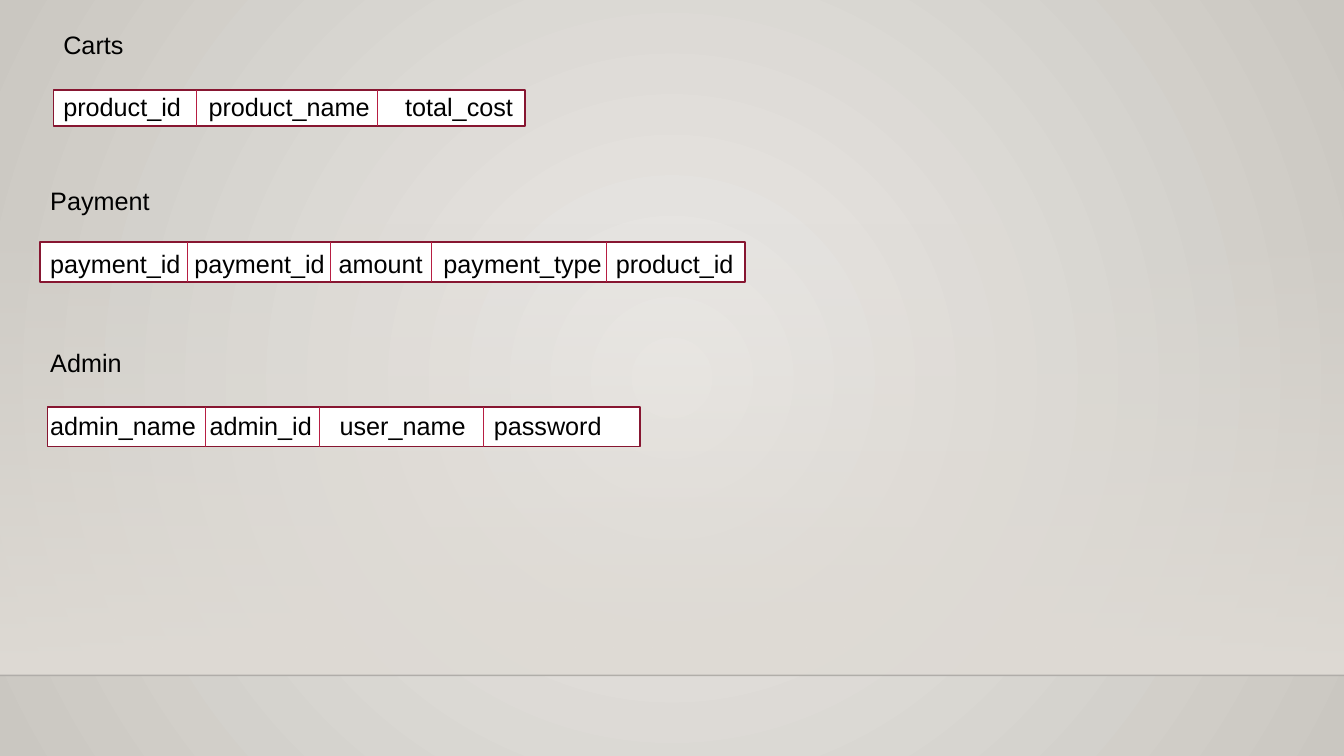
from lxml import etree
from pptx import Presentation, util as u
from pptx.dml.color import RGBColor
from pptx.enum import shapes
from pptx.oxml import ns

WIDTH, HEIGHT = 13.33, 7.5
FLOOR = 6.7  # height of the line across the bottom of the backdrop

# Each schema: name, text box, row box, tab stops, divider positions, field names.
# Boxes are left, top, width, height; stops are measured from the text's left edge.
SCHEMAS = [
    ("Carts", (0.53, 0.24, 6.67, 1.01), (0.53, 0.89, 4.68, 0.36),
     [1.44, 3.39], [1.95, 3.74],
     ["product_id", "product_name", "total_cost"]),
    ("Payment", (0.4, 1.79, 7.16, 1.01), (0.4, 2.4, 6.99, 0.4),
     [1.43, 2.86, 3.9, 5.61], [1.86, 3.28, 4.28, 6.02],
     ["payment_id", "payment_id", "amount", "payment_type", "product_id"]),
    ("Admin", (0.4, 3.4, 11.24, 1.01), (0.47, 4.04, 5.88, 0.39),
     [1.58, 2.87, 4.4], [2.04, 3.17, 4.8],
     ["admin_name", "admin_id", "user_name", "password"]),
]


def color(value):
    return RGBColor.from_string(value)


def inches(*lengths):
    return [u.Inches(length) for length in lengths]


def add_child(parent, tag, **attributes):
    return etree.SubElement(parent, ns.qn(tag), attributes)


def set_gradient(fill, start, end):
    fill.gradient()
    for stop, value in zip(fill.gradient_stops, (start, end)):
        stop.color.rgb = color(value)


def set_alpha(color_element, percent):
    add_child(color_element, "a:alpha", val=str(percent * 1000))


def add_line(slide, start, end, line_color, width):
    line = slide.shapes.add_connector(
        shapes.MSO_CONNECTOR.STRAIGHT, *inches(*start, *end))
    line.line.color.rgb = color(line_color)
    line.line.width = u.Pt(width)
    add_child(line.element.spPr, "a:effectLst")
    return line


def add_rectangle(slide, box):
    rectangle = slide.shapes.add_shape(shapes.MSO_SHAPE.RECTANGLE, *inches(*box))
    rectangle.shadow.inherit = False
    return rectangle


def add_backdrop(slide):
    # Radial background
    set_gradient(slide.background.fill, "ECEAE7", "CAC7C1")
    gradient = slide.element.xpath(".//p:bg//a:gradFill")[0]
    gradient.remove(gradient.find(ns.qn("a:lin")))
    radial = add_child(gradient, "a:path", path="circle")
    add_child(radial, "a:fillToRect", l="50000", t="50000", r="50000", b="50000")

    # Wall fading in towards the floor line
    top = 2.21
    wall = add_rectangle(slide, (0, top, WIDTH, FLOOR - top))
    set_gradient(wall.fill, "DFDBD5", "DFDBD5")
    wall.fill.gradient_angle = 270
    wall.line.fill.background()
    set_alpha(wall.element.xpath(".//a:gs/a:srgbClr")[0], 0)

    # Floor line
    floor = add_line(slide, (0, FLOOR), (WIDTH, FLOOR), "000001", 1)
    set_alpha(floor.element.xpath(".//a:ln//a:srgbClr")[0], 20)


def add_schema(slide, name, text_box, row_box, stops, dividers, fields):
    # Row outline
    row = add_rectangle(slide, row_box)
    row.fill.solid()
    row.fill.fore_color.rgb = color("FFFFFF")
    row.line.color.rgb = color("871631")
    row.line.width = u.Pt(1.25)

    # Name above the tabbed field names
    frame = slide.shapes.add_textbox(*inches(*text_box)).text_frame
    frame.word_wrap = True
    heading, field_line = frame.paragraphs[0], frame.add_paragraph()
    heading.text = name
    field_line.text = "\t".join(fields)
    field_line.space_before = u.Pt(23)
    tabs = add_child(field_line._p.get_or_add_pPr(), "a:tabLst")
    for stop in stops:
        add_child(tabs, "a:tab", pos=str(u.Inches(stop)), algn="l")
    for paragraph in (heading, field_line):
        paragraph.font.name = "Arial"
        paragraph.font.size = u.Pt(18)
        paragraph.font.color.rgb = color("000000")

    # Dividers between fields
    _, top, _, height = row_box
    for x in dividers:
        add_line(slide, (x, top), (x, top + height), "B71E42", 0.75)


def main():
    presentation = Presentation()
    presentation.slide_width, presentation.slide_height = inches(WIDTH, HEIGHT)
    blank_layout = presentation.slide_layouts[6]
    slide = presentation.slides.add_slide(blank_layout)
    add_backdrop(slide)
    for schema in SCHEMAS:
        add_schema(slide, *schema)
    presentation.save("out.pptx")


if __name__ == "__main__":
    main()
